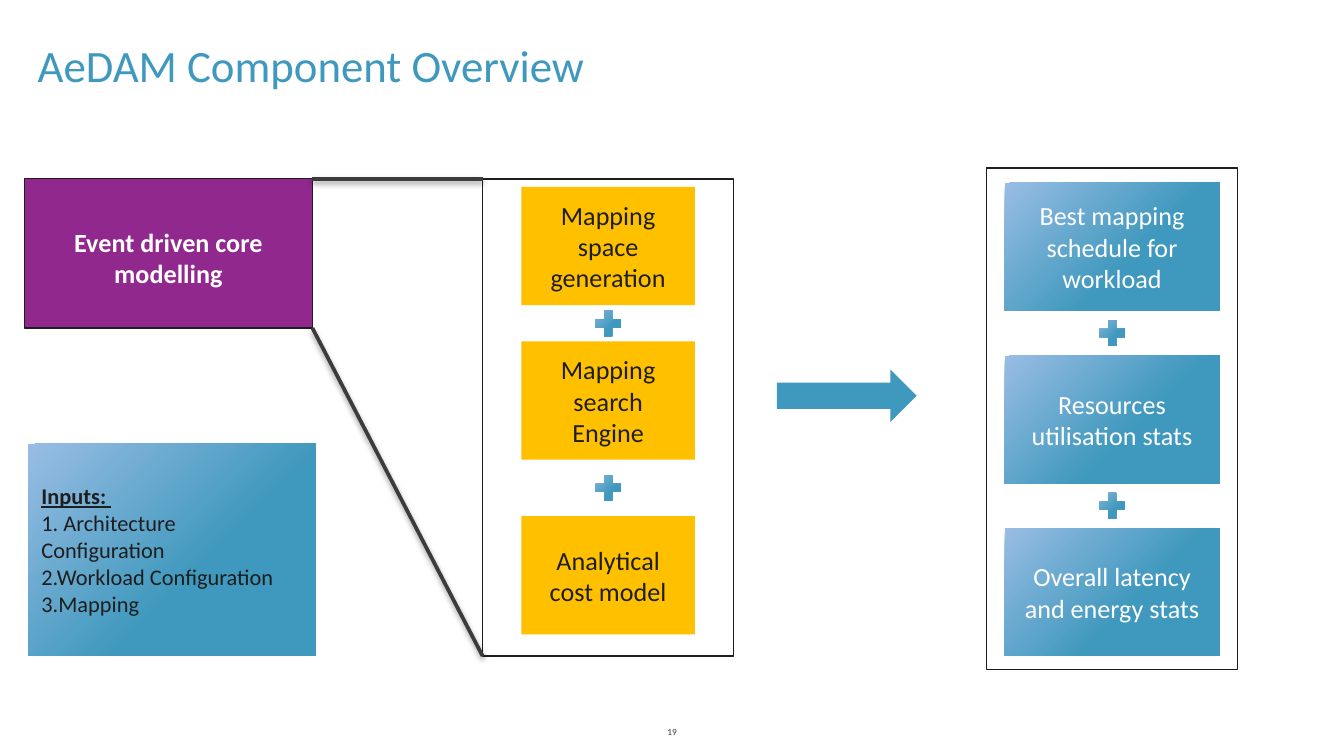
from lxml import etree
from pptx import Presentation
from pptx.dml.color import RGBColor
from pptx.enum.shapes import MSO_CONNECTOR, MSO_SHAPE
from pptx.enum.text import MSO_ANCHOR, MSO_AUTO_SIZE, PP_ALIGN
from pptx.oxml import parse_xml
from pptx.oxml.ns import nsdecls
from pptx.util import Pt

BLUE = RGBColor(0x3F, 0x98, 0xBD)
LIGHT_BLUE = RGBColor(0x99, 0xBD, 0xE4)
PURPLE = RGBColor(0x90, 0x28, 0x8D)
YELLOW = RGBColor(0xFF, 0xC0, 0x00)
WHITE = RGBColor(0xFF, 0xFF, 0xFF)
BLACK = RGBColor(0x1E, 0x1E, 0x1E)
GREY = RGBColor(0x3C, 0x3C, 0x3B)
GRADIENT = (LIGHT_BLUE, BLUE)
FONT = "Calibri"

TITLE = "AeDAM Component Overview"
PAGE_NUMBER = "19"
CORE_LINES = ["Event driven core", "modelling"]
INPUT_LINES = ["Inputs: \v1. Architecture Configuration", "2.Workload Configuration", "3.Mapping"]

# left, top, width, height
CORE_BOX = (13, 95.8, 154.4, 80)
INPUT_BOX = (15.1, 237.6, 154.1, 113.8)
ARROW_BOX = (416.2, 198, 74.9, 28.1)
PLUS_SIZE = 18.7

STACKS = [
    {
        "panel": (258.5, 95.8, 134.6, 255.6),
        "box_size": (92.9, 63.4),
        "fill": YELLOW,
        "text_color": BLACK,
        "boxes": [
            (100.1, "Mapping space generation"),
            (182.9, "Mapping search Engine"),
            (276.5, "Analytical cost model"),
        ],
    },
    {
        "panel": (528.5, 90, 134.6, 268.6),
        "box_size": (115.2, 68.4),
        "fill": GRADIENT,
        "text_color": WHITE,
        "boxes": [
            (97.9, "Best mapping schedule for workload"),
            (190.5, "Resources utilisation stats"),
            (283, "Overall latency and energy stats"),
        ],
    },
]


def points(values):
    return [Pt(value) for value in values]


def add_filled_shape(slide, kind, box, fill=None, outlined=False):
    """Add a preset shape; fill is None, one colour or a pair for a gradient."""
    shape = slide.shapes.add_shape(kind, *points(box))
    shape.shadow.inherit = False
    if fill is None:
        shape.fill.background()
    elif fill is GRADIENT:
        shape.fill.gradient()
        shape.fill.gradient_angle = 315
        for stop, color, position in zip(shape.fill.gradient_stops, GRADIENT, (0, 0.6)):
            stop.color.rgb = color
            stop.position = position
    else:
        shape.fill.solid()
        shape.fill.fore_color.rgb = fill
    if outlined:
        shape.line.color.rgb = BLACK
        shape.line.width = Pt(0.75)
    else:
        shape.line.fill.background()
    return shape


def write(shape, lines, size, color, alignment=PP_ALIGN.CENTER, anchor=MSO_ANCHOR.MIDDLE, bold=False):
    frame = shape.text_frame
    frame.word_wrap = True
    frame.auto_size = MSO_AUTO_SIZE.NONE
    frame.vertical_anchor = anchor
    frame.text = "\n".join(lines)
    for paragraph in frame.paragraphs:
        paragraph.alignment = alignment
        for run in paragraph.runs:
            run.font.name = FONT
            run.font.size = Pt(size)
            run.font.bold = bold
            run.font.color.rgb = color


def add_stack(slide, stack):
    """Draw a panel with boxes centred in it and a plus in each gap."""
    left, _, panel_width, _ = stack["panel"]
    center = left + panel_width / 2
    width, height = stack["box_size"]
    add_filled_shape(slide, MSO_SHAPE.RECTANGLE, stack["panel"], outlined=True)
    for top, text in stack["boxes"]:
        box = add_filled_shape(slide, MSO_SHAPE.RECTANGLE, (center - width / 2, top, width, height), stack["fill"])
        write(box, [text], 14, stack["text_color"])
    tops = [top for top, _ in stack["boxes"]]
    for upper, lower in zip(tops, tops[1:]):
        middle = (upper + height + lower) / 2
        plus_box = (center - PLUS_SIZE / 2, middle - PLUS_SIZE / 2, PLUS_SIZE, PLUS_SIZE)
        add_filled_shape(slide, MSO_SHAPE.MATH_PLUS, plus_box, GRADIENT)


def add_zoom_line(slide, start, end):
    line = slide.shapes.add_connector(MSO_CONNECTOR.STRAIGHT, *points(start + end))
    line.line.color.rgb = GREY
    line.line.width = Pt(2)
    effects = etree.SubElement(line._element.spPr, "{http://schemas.openxmlformats.org/drawingml/2006/main}effectLst")
    effects.append(parse_xml(
        f'<a:outerShdw {nsdecls("a")} blurRad="{Pt(3.1)}" dist="{Pt(1.6)}" dir="5400000" rotWithShape="0">'
        '<a:srgbClr val="000000"><a:alpha val="38000"/></a:srgbClr></a:outerShdw>'
    ))


def main():
    presentation = Presentation()
    presentation.slide_width = Pt(720)
    presentation.slide_height = Pt(405)
    slide = presentation.slides.add_slide(presentation.slide_layouts[5])

    title = slide.shapes.title
    title.left, title.top, title.width, title.height = points((13, 16.6, 689, 36))
    write(title, [TITLE], 24, BLUE, PP_ALIGN.LEFT, MSO_ANCHOR.BOTTOM)

    number = slide.shapes.add_textbox(*points((326.2, 385.2, 67.7, 13.7)))
    write(number, [PAGE_NUMBER], 5, GREY)

    core = add_filled_shape(slide, MSO_SHAPE.RECTANGLE, CORE_BOX, PURPLE, outlined=True)
    write(core, CORE_LINES, 14, WHITE, bold=True)
    core.text_frame.margin_top = Pt(7.6)

    inputs = add_filled_shape(slide, MSO_SHAPE.RECTANGLE, INPUT_BOX, GRADIENT)
    write(inputs, INPUT_LINES, 12, BLACK, PP_ALIGN.LEFT)
    heading = inputs.text_frame.paragraphs[0].runs[0]
    heading.font.bold = True
    heading.font.underline = True

    for stack in STACKS:
        add_stack(slide, stack)

    core_left, core_top, core_width, core_height = CORE_BOX
    panel_left, panel_top, _, panel_height = STACKS[0]["panel"]
    core_right = core_left + core_width
    add_zoom_line(slide, (core_right, core_top), (panel_left, panel_top))
    add_zoom_line(slide, (core_right, core_top + core_height), (panel_left, panel_top + panel_height))

    add_filled_shape(slide, MSO_SHAPE.RIGHT_ARROW, ARROW_BOX, BLUE)
    presentation.save("out.pptx")


if __name__ == "__main__":
    main()
